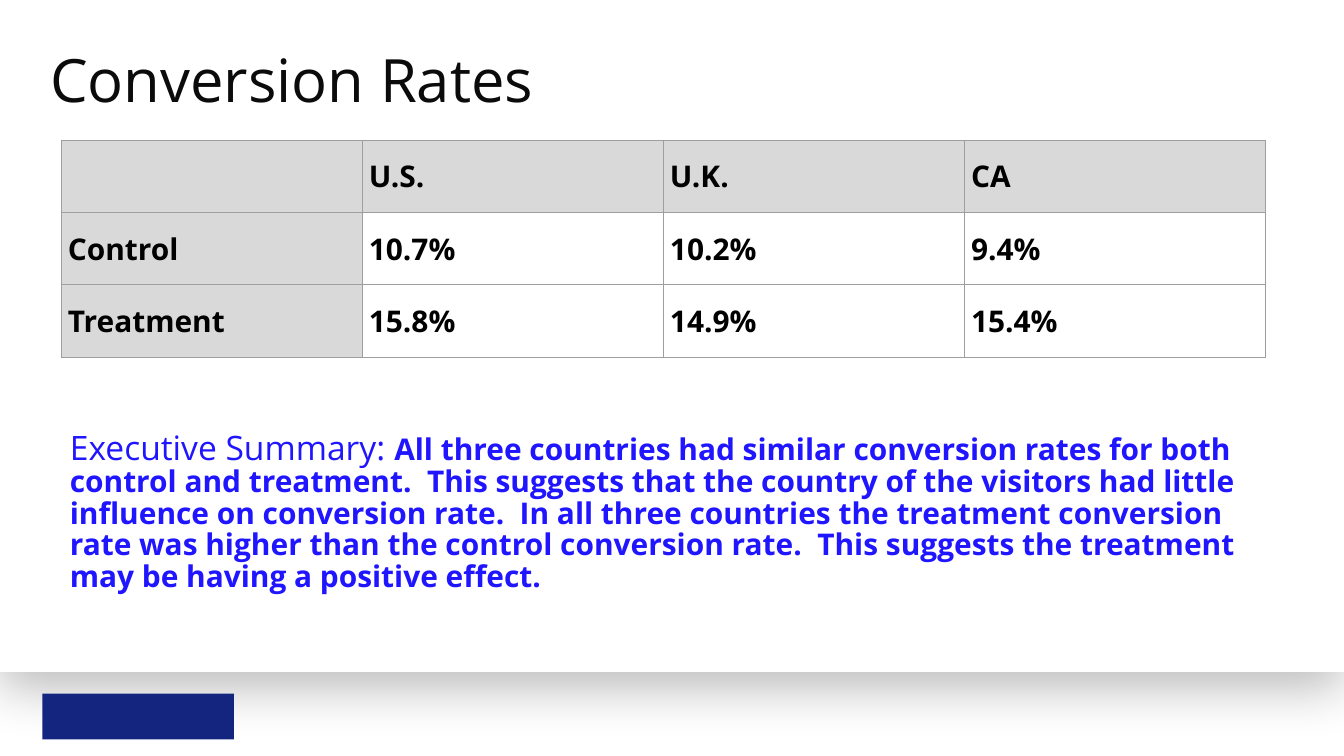
from lxml.etree import SubElement
from pptx import Presentation
from pptx.dml.color import RGBColor
from pptx.enum.shapes import MSO_SHAPE
from pptx.enum.text import MSO_ANCHOR, PP_ALIGN
from pptx.oxml.ns import qn
from pptx.util import Cm, Pt

# Content
TITLE = "Conversion Rates"
RATES = [
    ["", "U.S.", "U.K.", "CA"],
    ["Control", "10.7%", "10.2%", "9.4%"],
    ["Treatment", "15.8%", "14.9%", "15.4%"],
]
SUMMARY_LABEL = "Executive Summary: "
SUMMARY = (
    "All three countries had similar conversion rates for both control and treatment.  "
    "This suggests that the country of the visitors had little influence on conversion rate.  "
    "In all three countries the treatment conversion rate was higher than the control "
    "conversion rate.  This suggests the treatment may be having a positive effect."
)

# Format
FONT = "Open Sans"
WHITE, BLACK, TITLE_INK = "FFFFFF", "000000", "0B0B0B"
NAVY, BLUE, HEADER_GREY, BORDER_GREY = "14257F", "2015FF", "D9D9D9", "9E9E9E"
COLUMN_WIDTH, ROW_HEIGHT = 11.38, 2.73


def color(value):
    return RGBColor.from_string(value)


def add_text(paragraph, text, size=32, ink=BLACK, bold=False):
    paragraph.alignment = PP_ALIGN.LEFT
    run = paragraph.add_run()
    run.text = text
    run.font.name = FONT
    run.font.size = Pt(size)
    run.font.bold = bold
    run.font.color.rgb = color(ink)


def add_box(slide, left, top, width, height, fill):
    shape = slide.shapes.add_shape(
        MSO_SHAPE.RECTANGLE, Cm(left), Cm(top), Cm(width), Cm(height))
    shape.shadow.inherit = False
    shape.fill.solid()
    shape.fill.fore_color.rgb = color(fill)
    shape.line.fill.background()
    return shape


def add_soft_shadow(shape):
    effects = shape.element.spPr.find(qn("a:effectLst"))
    shadow = SubElement(effects, qn("a:outerShdw"), blurRad=str(Pt(56.2)),
                        dist=str(Pt(18.7)), dir="5400000", rotWithShape="0")
    tone = SubElement(shadow, qn("a:srgbClr"), val=BLACK)
    SubElement(tone, qn("a:alpha"), val="25000")


def add_text_frame(slide, left, top, width, height, anchor):
    frame = slide.shapes.add_textbox(
        Cm(left), Cm(top), Cm(width), Cm(height)).text_frame
    frame.word_wrap = True
    frame.vertical_anchor = anchor
    frame.margin_left = frame.margin_right = frame.margin_top = frame.margin_bottom = 0
    return frame


def format_cell(cell, filled):
    cell.vertical_anchor = MSO_ANCHOR.MIDDLE
    properties = cell._tc.get_or_add_tcPr()
    for side in ("a:lnL", "a:lnR", "a:lnT", "a:lnB"):
        line = SubElement(properties, qn(side), w=str(Pt(0.75)))
        SubElement(SubElement(line, qn("a:solidFill")), qn("a:srgbClr"), val=BORDER_GREY)
    if filled:
        cell.fill.solid()
        cell.fill.fore_color.rgb = color(HEADER_GREY)
    else:
        cell.fill.background()


def add_rates_table(slide, left, top):
    rows, columns = len(RATES), len(RATES[0])
    table = slide.shapes.add_table(
        rows, columns, Cm(left), Cm(top),
        Cm(COLUMN_WIDTH * columns), Cm(ROW_HEIGHT * rows)).table
    for column in table.columns:
        column.width = Cm(COLUMN_WIDTH)
    for row_index, values in enumerate(RATES):
        table.rows[row_index].height = Cm(ROW_HEIGHT)
        for column_index, value in enumerate(values):
            cell = table.cell(row_index, column_index)
            format_cell(cell, filled=row_index == 0 or column_index == 0)
            if value:
                add_text(cell.text_frame.paragraphs[0], value, bold=True)


def main():
    presentation = Presentation()
    presentation.slide_width, presentation.slide_height = Cm(50.8), Cm(28.58)
    slide = presentation.slides.add_slide(presentation.slide_layouts[6])

    # White panel above the footer, and the footer block
    add_soft_shadow(add_box(slide, 0, 0, 50.8, 25.4, WHITE))
    add_box(slide, 1.6, 26.22, 7.24, 1.73, NAVY)

    # Title
    title = add_text_frame(slide, 1.9, 0.86, 47, 4.2, MSO_ANCHOR.MIDDLE)
    add_text(title.paragraphs[0], TITLE, size=64, ink=TITLE_INK)

    # Rates by country
    add_rates_table(slide, 2.31, 5.3)

    # Summary
    summary = add_text_frame(slide, 2.64, 16.33, 45.54, 7.16, MSO_ANCHOR.TOP)
    paragraph = summary.paragraphs[0]
    paragraph.line_spacing = 0.88
    add_text(paragraph, SUMMARY_LABEL, size=36, ink=BLUE)
    add_text(paragraph, SUMMARY, ink=BLUE, bold=True)

    presentation.save("out.pptx")


if __name__ == "__main__":
    main()
